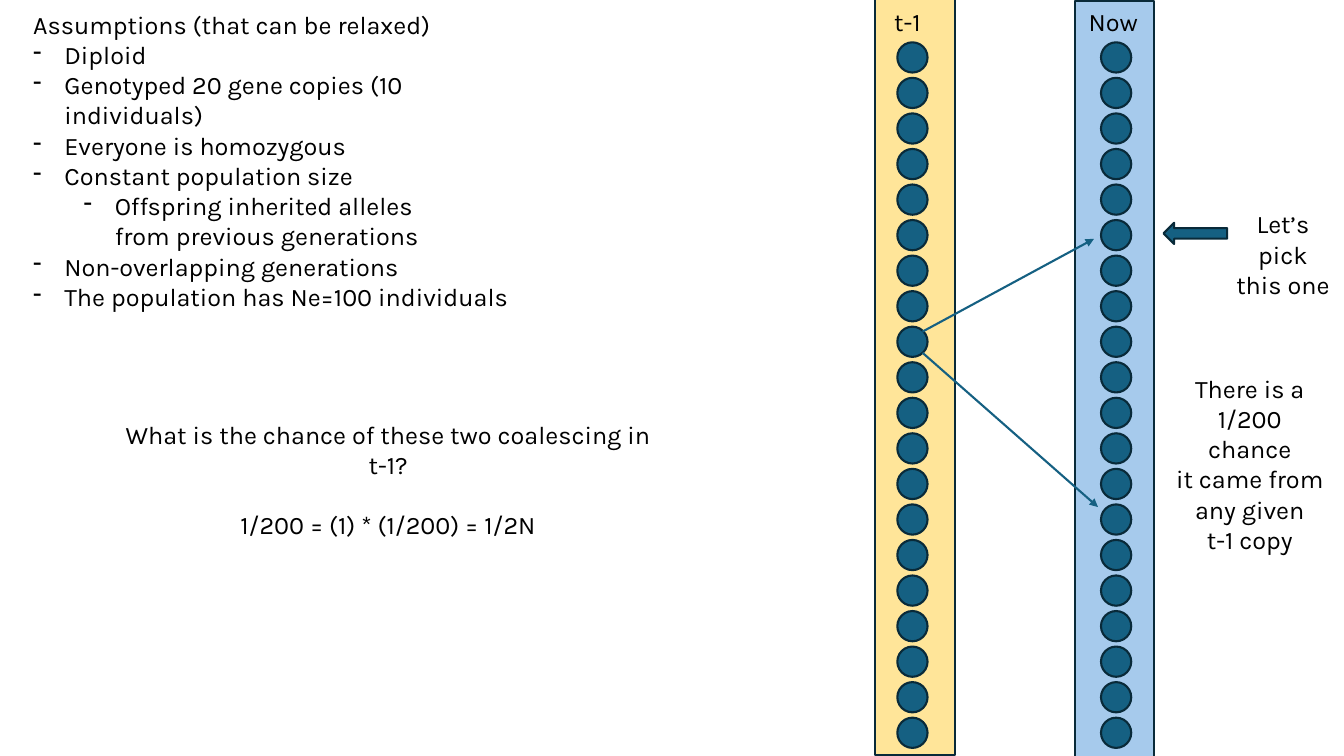
from lxml import etree
from pptx import Presentation
from pptx.dml.color import RGBColor
from pptx.enum.shapes import MSO_CONNECTOR, MSO_SHAPE
from pptx.enum.text import PP_ALIGN
from pptx.oxml.ns import qn
from pptx.util import Inches, Pt

RECTANGLE, OVAL, ARROW = MSO_SHAPE.RECTANGLE, MSO_SHAPE.OVAL, MSO_SHAPE.RIGHT_ARROW
STRAIGHT = MSO_CONNECTOR.STRAIGHT
LEFT, CENTER = PP_ALIGN.LEFT, PP_ALIGN.CENTER

# Content
COLORS = {"now": "A6CAEC", "before": "FFC000", "copy": "156082",
          "outline": "092A39", "text": "000000"}
FONT, SIZE, LINE = "Karla", 18, 1.5

# Bullet level of each line; None is a plain line
ASSUMPTIONS = [
    ("Assumptions (that can be relaxed)", None),
    ("Diploid", 0),
    ("Genotyped 20 gene copies (10 individuals)", 0),
    ("Everyone is homozygous", 0),
    ("Constant population size", 0),
    ("Offspring inherited alleles\vfrom previous generations", 1),
    ("Non-overlapping generations", 0),
    ("The population has Ne=100 individuals", 0),
]
QUESTION = [("What is the chance of these two coalescing in t-1?", None),
            ("1/200 = (1) * (1/200) = 1/2N", None)]
PICK = [("Let’s pick\vthis one", None)]
CHANCE = [("There is a\v1/200 chance\vit came from\vany given\vt-1 copy", None)]

# Label, label left and width, band left and top, colour, opacity %, circle left
GENERATIONS = [
    ("Now", 10.7, 0.7, 10.66, 0.01, "now", 100, 10.92),
    ("t-1", 8.77, 0.48, 8.68, -0.01, "before", 40, 8.9),
]
COPIES, FIRST_TOP, LAST_TOP, DIAMETER = 20, 0.42, 7.12, 0.3
DESCENT = [((9.15, 3.29), (10.85, 2.37)), ((9.15, 3.5), (10.89, 5.03))]

deck = Presentation()
deck.slide_width, deck.slide_height = Inches(13.33), Inches(7.5)
page = deck.slides.add_slide(deck.slide_layouts[6])


def color(name):
    return RGBColor.from_string(COLORS[name])


def add_figure(kind, left, top, width, height, fill):
    figure = page.shapes.add_shape(kind, *map(Inches, (left, top, width, height)))
    figure.shadow.inherit = False
    figure.fill.solid()
    figure.fill.fore_color.rgb = color(fill)
    figure.line.color.rgb = color("outline")
    figure.line.width = Pt(LINE)
    return figure


def add_dash(para, level):
    para.level = level
    props = para._p.get_or_add_pPr()
    props.set("marL", str(Inches(0.31 + 0.5 * level)))
    props.set("indent", str(Inches(-0.31)))
    etree.SubElement(props, qn("a:buFontTx"))
    etree.SubElement(props, qn("a:buChar")).set("char", "-")


def add_text(lines, left, top, width, height, align=LEFT, wrap=True, gap=0):
    box = page.shapes.add_textbox(*map(Inches, (left, top, width, height)))
    frame = box.text_frame
    frame.word_wrap = wrap
    for index, (line, level) in enumerate(lines):
        para = frame.add_paragraph() if index else frame.paragraphs[0]
        para.text = line
        para.alignment = align
        if index and gap:
            para.space_before = Pt(gap)
        if level is not None:
            add_dash(para, level)
        for span in para.runs:
            span.font.name, span.font.size = FONT, Pt(SIZE)
            span.font.color.rgb = color("text")


# Generations: band, label and column of gene copies
pitch = (LAST_TOP - FIRST_TOP) / (COPIES - 1)
for label, label_left, label_width, left, top, fill, opacity, circle_left in GENERATIONS:
    band = add_figure(RECTANGLE, left, top, 0.79, 7.5, fill)
    if opacity < 100:
        tint = band.fill._xPr.find(qn("a:solidFill"))[0]
        etree.SubElement(tint, qn("a:alpha")).set("val", str(opacity * 1000))
    add_text([(label, None)], label_left, 0.01, label_width, 0.4, wrap=False)
    for row in range(COPIES):
        add_figure(OVAL, circle_left, FIRST_TOP + row * pitch, DIAMETER, DIAMETER, "copy")

# Assumptions
add_text(ASSUMPTIONS, 0.23, 0.04, 5.09, 3.13)

# Picked copy and its chance
add_text(PICK, 12.11, 2.02, 1.23, 0.71, CENTER)
add_figure(ARROW, 11.54, 2.21, 0.63, 0.21, "copy").rotation = 180
add_text(CHANCE, 11.55, 3.65, 1.69, 1.62, CENTER)

# Lines of descent
for start, end in DESCENT:
    descent = page.shapes.add_connector(STRAIGHT, *map(Inches, start + end))
    descent.line.color.rgb = color("copy")
    descent.line.width = Pt(LINE)
    etree.SubElement(descent.line._get_or_add_ln(), qn("a:tailEnd")).set("type", "triangle")
    etree.SubElement(descent._element.spPr, qn("a:effectLst"))

# Question and answer
add_text(QUESTION, 1.05, 4.11, 5.6, 1.62, CENTER, gap=21.5)

deck.save("out.pptx")
